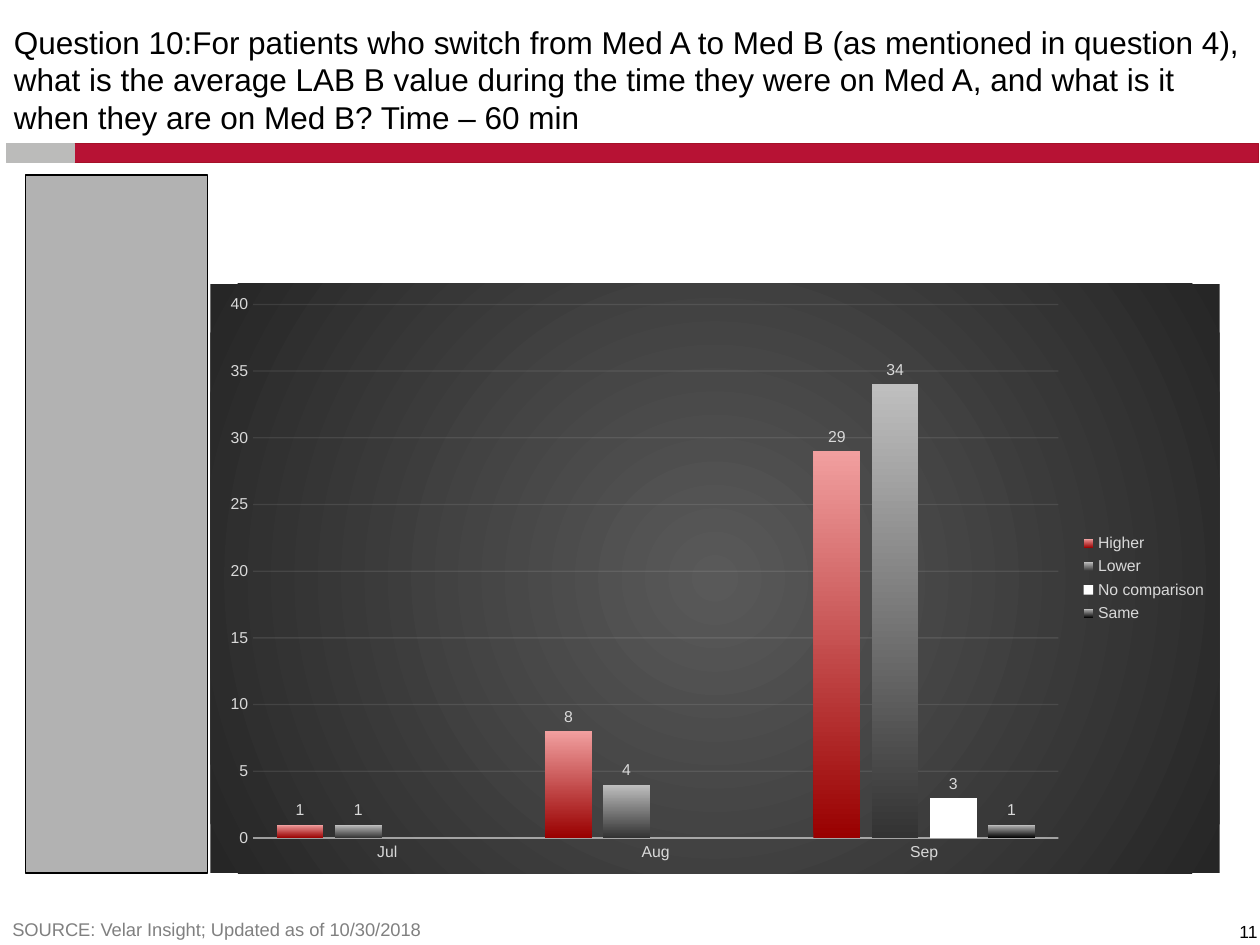
from lxml import etree
from pptx import Presentation
from pptx.chart.data import CategoryChartData
from pptx.dml.color import RGBColor
from pptx.enum.chart import XL_CHART_TYPE as ChartType
from pptx.enum.chart import XL_LABEL_POSITION as LabelPosition
from pptx.enum.chart import XL_LEGEND_POSITION as LegendPosition
from pptx.enum.chart import XL_TICK_MARK as TickMark
from pptx.enum.shapes import MSO_SHAPE as ShapeType
from pptx.enum.text import MSO_ANCHOR as Anchor
from pptx.enum.text import MSO_AUTO_SIZE as AutoSize
from pptx.enum.text import PP_ALIGN as Align
from pptx.oxml import parse_xml
from pptx.oxml.ns import nsdecls, qn
from pptx.util import Inches, Pt

FONT = "Arial"
CHART_TEXT = "D9D9D9"
CHART_LINE = "F2F2F2"
TITLE = (
    "Question 10:For patients who switch from Med A to Med B (as mentioned in "
    "question 4), what is the average LAB B value during the time they were on "
    "Med A, and what is it when they are on Med B? Time – 60 min"
)
MONTHS = ["Jul", "Aug", "Sep"]
# Name, values, colours from the bottom to the top of the column
SERIES = [
    ("Higher", [1, 8, 29], ["990000", "F19F9F"]),
    ("Lower", [1, 4, 34], ["333333", "BFBFBF"]),
    ("No comparison", [None, None, 3], ["FFFFFF"]),
    ("Same", [None, None, 1], ["000000", "BDBDBD"]),
]


def rgb(value):
    return RGBColor.from_string(value)


def set_font(font, size, color):
    font.name = FONT
    font.size = Pt(size)
    font.bold = False
    font.color.rgb = rgb(color)


def place(shape, left, top, width, height):
    shape.left, shape.top = Inches(left), Inches(top)
    shape.width, shape.height = Inches(width), Inches(height)


def add_rectangle(slide, box, fill, line, line_width):
    shape = slide.shapes.add_shape(ShapeType.RECTANGLE, *map(Inches, box))
    shape.shadow.inherit = False
    shape.fill.solid()
    shape.fill.fore_color.rgb = rgb(fill)
    shape.line.color.rgb = rgb(line)
    shape.line.width = Pt(line_width)


def write_text(shape, text, size, color, align=Align.LEFT, anchor=Anchor.BOTTOM,
               side=0.1, edge=0.0, wrap=True):
    frame = shape.text_frame
    frame.auto_size = AutoSize.NONE
    frame.word_wrap = wrap
    frame.vertical_anchor = anchor
    frame.margin_left = frame.margin_right = Inches(side)
    frame.margin_top = frame.margin_bottom = Inches(edge)
    paragraph = frame.paragraphs[0]
    paragraph.alignment = align
    run = paragraph.add_run()
    run.text = text
    set_font(run.font, size, color)


def add_text(slide, box, text, size, color, **options):
    shape = slide.shapes.add_textbox(*map(Inches, box))
    write_text(shape, text, size, color, **options)


def style_line(line, width, opacity):
    line.color.rgb = rgb(CHART_LINE)
    line.width = Pt(width)
    color = line.fill._xPr.find(".//" + qn("a:srgbClr"))
    etree.SubElement(color, qn("a:alpha")).set("val", str(opacity * 1000))


def fill_series(fill, colors):
    if len(colors) == 1:
        fill.solid()
        fill.fore_color.rgb = rgb(colors[0])
        return
    fill.gradient()
    fill.gradient_angle = 90
    for stop, position, color in zip(fill.gradient_stops, (0, 1), colors):
        stop.position = position
        stop.color.rgb = rgb(color)


def fill_chart_area(chart, center, edge):
    properties = parse_xml(
        f'<c:spPr {nsdecls("c", "a")}><a:gradFill><a:gsLst>'
        f'<a:gs pos="0"><a:srgbClr val="{center}"/></a:gs>'
        f'<a:gs pos="100000"><a:srgbClr val="{edge}"/></a:gs></a:gsLst>'
        '<a:path path="circle">'
        '<a:fillToRect l="50000" t="50000" r="50000" b="50000"/></a:path>'
        "</a:gradFill><a:ln><a:noFill/></a:ln></c:spPr>"
    )
    chart.font._element.getparent()
    chart._chartSpace.find(qn("c:txPr")).addprevious(properties)


def style_axes(chart):
    for axis in (chart.category_axis, chart.value_axis):
        axis.major_tick_mark = axis.minor_tick_mark = TickMark.NONE
        set_font(axis.tick_labels.font, 9, CHART_TEXT)
    style_line(chart.category_axis.format.line, 1, 54)
    values = chart.value_axis
    values.minimum_scale, values.maximum_scale, values.major_unit = 0, 40, 5
    values.format.line.fill.background()
    values.has_major_gridlines = True
    style_line(values.major_gridlines.format.line, 0.75, 10)


def add_column_chart(slide, box):
    data = CategoryChartData()
    data.categories = MONTHS
    for name, values, _ in SERIES:
        data.add_series(name, values)
    chart = slide.shapes.add_chart(
        ChartType.COLUMN_CLUSTERED, *map(Inches, box), data).chart
    set_font(chart.font, 10, "000000")
    fill_chart_area(chart, "595959", "262626")
    chart.has_title = False
    chart.has_legend = True
    chart.legend.position = LegendPosition.RIGHT
    chart.legend.include_in_layout = False
    set_font(chart.legend.font, 9, CHART_TEXT)
    style_axes(chart)

    plot = chart.plots[0]
    plot.gap_width, plot.overlap = 100, -24
    plot.vary_by_categories = False
    for series, (_, _, colors) in zip(plot.series, SERIES):
        series.invert_if_negative = False
        fill_series(series.format.fill, colors)
        labels = series.data_labels
        labels.show_value = True
        labels.position = LabelPosition.OUTSIDE_END
        set_font(labels.font, 9, CHART_TEXT)


def main():
    presentation = Presentation()
    presentation.slide_width, presentation.slide_height = Inches(10), Inches(7.5)
    slide = presentation.slides.add_slide(presentation.slide_layouts[5])

    # Title and the two-colour rule below it
    title = slide.shapes.title
    place(title, 0.01, 0.17, 9.99, 0.91)
    write_text(title, TITLE, 18, "000000")
    add_rectangle(slide, (0.58, 1.14, 9.41, 0.15), "B71234", "A41128", 0.25)
    add_rectangle(slide, (0.05, 1.14, 0.54, 0.15), "BBBBBA", "BBBBBA", 0.25)

    # Side panel and chart
    add_rectangle(slide, (0.2, 1.39, 1.45, 5.54), "B2B2B2", "000000", 0.75)
    add_column_chart(slide, (1.67, 2.25, 8.01, 4.68))

    # Footer
    add_text(slide, (0, 7.23, 9.74, 0.28),
             "SOURCE: Velar Insight; Updated as of 10/30/2018", 10.5, "808080",
             edge=0.05)
    add_text(slide, (9.77, 7.31, 0.21, 0.17), "11", 10, "000000",
             align=Align.RIGHT, anchor=Anchor.TOP, side=0, wrap=False)

    presentation.save("out.pptx")


if __name__ == "__main__":
    main()
